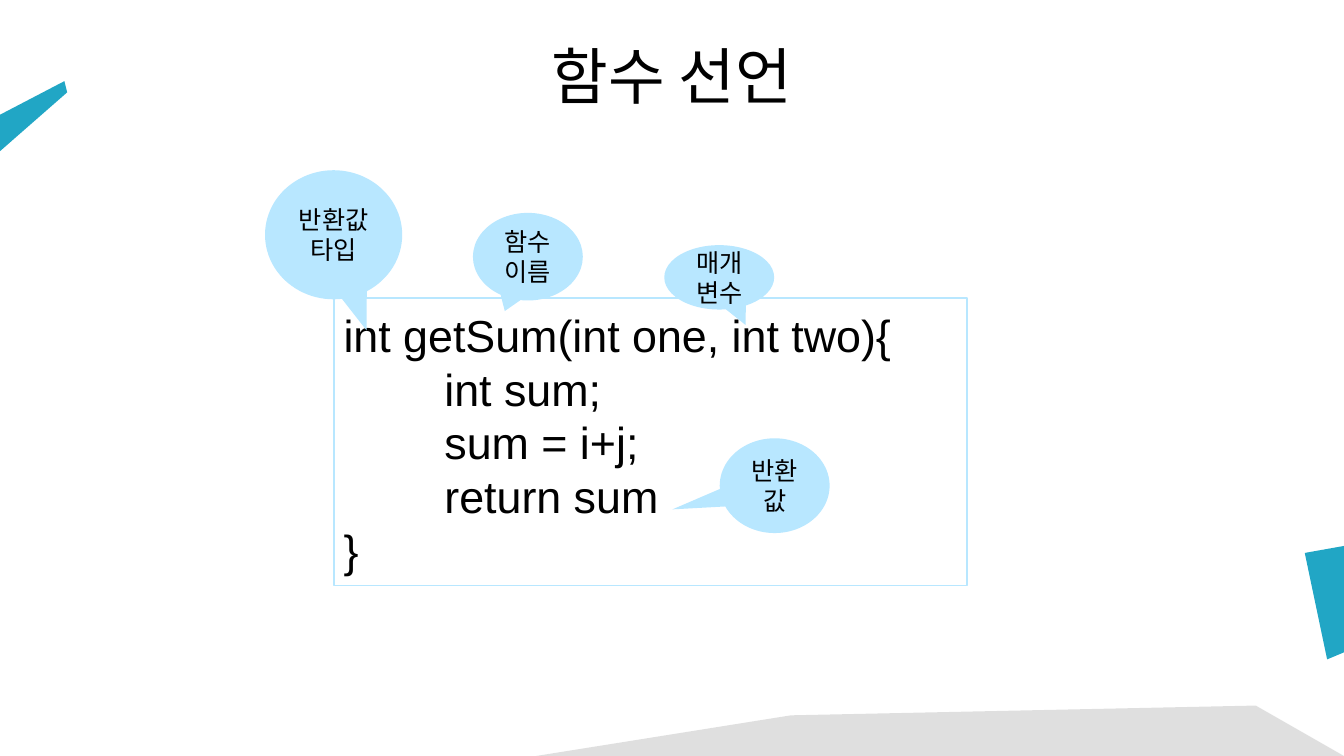
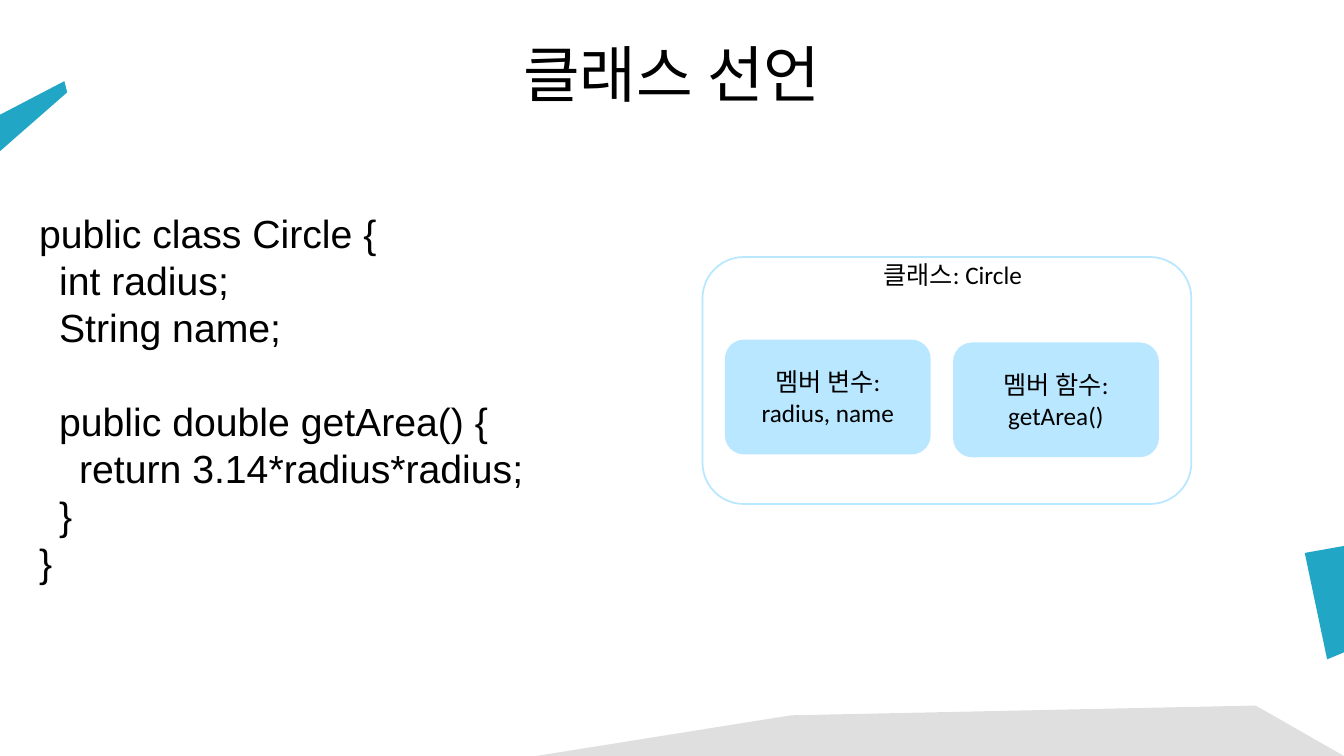
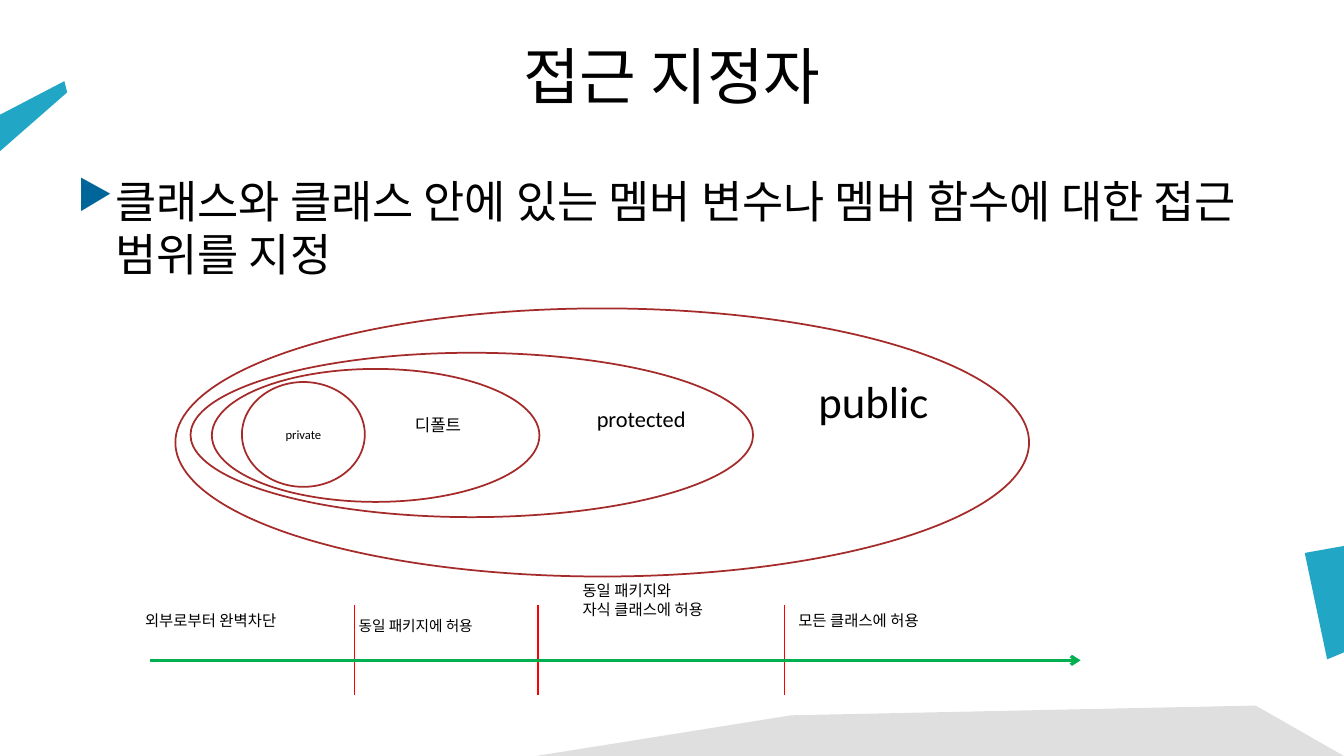
from dataclasses import dataclass

from lxml import etree
from pptx import Presentation
from pptx.dml.color import RGBColor
from pptx.enum import shapes as kinds, text as txt
from pptx.oxml.ns import qn
from pptx.util import Pt


@dataclass(frozen=True)
class Theme:
    """Colours, fonts and type sizes of the deck."""
    ink: str = "000000"
    paper: str = "FFFFFF"
    teal: str = "21A6C5"
    grey: str = "C1C1C1"
    sky: str = "B8E7FF"
    brown: str = "A52A2A"
    red: str = "FF0000"
    green: str = "00B050"
    bullet: str = "006699"
    title_font: str = "Cabin"
    body_font: str = "Calibri"
    code_font: str = "Arial"
    title: float = 44
    body: float = 32
    code: float = 32
    long_code: float = 28
    label: float = 18
    leading: float = 1.2
    outline: float = 1.25


@dataclass(frozen=True)
class Box:
    """A rectangle in points."""
    left: float
    top: float
    width: float
    height: float

    def within(self, dx, dy, width, height):
        """Return a box offset from this one."""
        return Box(self.left + dx, self.top + dy, width, height)

    def lengths(self):
        """Return the four lengths for python-pptx."""
        return [Pt(v) for v in (self.left, self.top, self.width, self.height)]


T = Theme()
PAGE = Box(0, 0, 960, 540)
SHAPE = kinds.MSO_SHAPE
LEFT, CENTER = txt.PP_ALIGN.LEFT, txt.PP_ALIGN.CENTER
TOP, MIDDLE = txt.MSO_ANCHOR.TOP, txt.MSO_ANCHOR.MIDDLE

DECOR = [
    (T.teal, None, [(46, 57.6), (48.2, 66.2), (0, 108), (0, 82)]),
    (T.teal, None, [(932.4, 395.3), (960, 389.5), (960, 465.8), (947.5, 470.9)]),
    (T.grey, 50, [(383, 540), (565, 511.2), (897, 504), (960, 540)]),
]


def paint(shape, fill=None, line=None):
    """Set fill, outline and no shadow."""
    shape.shadow.inherit = False
    if fill:
        shape.fill.solid()
        shape.fill.fore_color.rgb = RGBColor.from_string(fill)
    else:
        shape.fill.background()
    if line:
        shape.line.color.rgb = RGBColor.from_string(line)
        shape.line.width = Pt(T.outline)
    else:
        shape.line.fill.background()


def write(shape, words, size, font=T.body_font, align=CENTER, anchor=MIDDLE):
    """Put wrapped text in a shape and return its paragraphs."""
    frame = shape.text_frame
    frame.text = words
    frame.word_wrap = True
    frame.vertical_anchor = anchor
    for paragraph in frame.paragraphs:
        paragraph.alignment = align
        for run in paragraph.runs:
            run.font.size = Pt(size)
            run.font.name = font
            run.font.color.rgb = RGBColor.from_string(T.ink)
    return frame.paragraphs


def add_panel(slide, kind, box, fill=None, line=None, words=None, size=T.label):
    """Add a preset shape with optional centred text."""
    panel = slide.shapes.add_shape(kind, *box.lengths())
    paint(panel, fill, line)
    if words:
        write(panel, words, size)
    return panel


def add_label(slide, box, words, size, font=T.body_font, align=LEFT, anchor=TOP):
    """Add a text box and return its paragraphs."""
    label = slide.shapes.add_textbox(*box.lengths())
    return write(label, words, size, font, align, anchor)


def add_line(slide, start, end, color, width):
    """Add a straight line without shadow."""
    line = slide.shapes.add_connector(
        kinds.MSO_CONNECTOR.STRAIGHT, *[Pt(v) for v in (*start, *end)])
    line.line.color.rgb = RGBColor.from_string(color)
    line.line.width = Pt(width)
    etree.SubElement(line._element.spPr, qn("a:effectLst"))
    return line


def new_slide(deck, title, title_top=8.5):
    """Start a slide with the shared decoration and title."""
    slide = deck.slides.add_slide(deck.slide_layouts[6])
    slide.background.fill.solid()
    slide.background.fill.fore_color.rgb = RGBColor.from_string(T.paper)
    for color, opacity, corners in DECOR:
        builder = slide.shapes.build_freeform(*corners[0], scale=Pt(1))
        builder.add_line_segments(corners[1:], close=True)
        shard = builder.convert_to_shape()
        paint(shard, color)
        if opacity:
            tint = shard._element.spPr.find(".//" + qn("a:srgbClr"))
            etree.SubElement(tint, qn("a:alpha"), val=str(opacity * 1000))
    add_label(slide, PAGE.within(168, title_top, 624, 90), title, T.title,
              T.title_font, CENTER, MIDDLE)
    return slide


def code_block(shape, lines, size, step, anchor, gap_at=None):
    """Write code lines given as (level, text), indented by level."""
    paragraphs = write(shape, "\n".join(line for _, line in lines), size,
                       T.code_font, LEFT, anchor)
    pitch = Pt(round(size * T.leading, 1))
    for row, (paragraph, (level, _)) in enumerate(zip(paragraphs, lines)):
        paragraph.line_spacing = pitch
        paragraph._p.get_or_add_pPr().set("marL", str(Pt(level * step)))
        if row == gap_at:
            paragraph.space_before = pitch


def function_diagram(slide, box):
    """Draw the function code with callouts naming its parts."""
    listing = add_panel(slide, SHAPE.RECTANGLE, box, line=T.sky)
    code_block(listing, [
        (0, "int getSum(int one, int two){"),
        (1, "int sum;"),
        (1, "sum = i+j;"),
        (1, "return sum"),
        (0, "}"),
    ], T.code, 72, MIDDLE)
    callouts = [
        ("함수 이름", (99.5, -61, 78.5, 62.6), (-0.21, 0.62)),
        ("반환값 타입", (-49, -91.5, 98, 92.2), (0.24, 0.74)),
        ("매개변수", (236.2, -38, 78.5, 46), (0.24, 0.74)),
        ("반환 값", (275.8, 100, 78.5, 67.7), (-0.93, 0.25)),
    ]
    for words, place, tip in callouts:
        callout = add_panel(slide, SHAPE.OVAL_CALLOUT, box.within(*place),
                            T.sky, words=words)
        callout.adjustments[0], callout.adjustments[1] = tip


def class_listing(slide, box):
    """Write the class source code."""
    listing = slide.shapes.add_textbox(*box.lengths())
    paint(listing, T.paper)
    code_block(listing, [
        (0, "public class Circle {"),
        (1, "int radius;"),
        (1, "String name;"),
        (1, "public double getArea() {"),
        (2, "return 3.14*radius*radius;"),
        (1, "}"),
        (0, "}"),
    ], T.long_code, 14.3, TOP, gap_at=3)


def class_diagram(slide, box):
    """Draw the class frame with its two members."""
    add_panel(slide, SHAPE.ROUNDED_RECTANGLE, box.within(105.2, -3.6, 147, 31.7),
              words="클래스: Circle")
    members = ["멤버 변수: radius, name", "멤버 함수: getArea()"]
    for i, member in enumerate(members):
        add_panel(slide, SHAPE.ROUNDED_RECTANGLE,
                  box.within(16 + 163 * i, 59 + 2 * i, 147, 82), T.sky, words=member)
    add_panel(slide, SHAPE.ROUNDED_RECTANGLE, box, line=T.sky)


def summary(slide, box, words):
    """Write one bulleted statement."""
    statement = add_label(slide, box, words, T.body)[0]
    props = statement._p.get_or_add_pPr()
    props.set("marL", str(Pt(27)))
    props.set("indent", str(-Pt(27)))
    color = etree.SubElement(props, qn("a:buClr"))
    etree.SubElement(color, qn("a:srgbClr"), val=T.bullet)
    etree.SubElement(props, qn("a:buSzPct"), val="90000")
    etree.SubElement(props, qn("a:buChar"), char="▶")


def scope_rings(slide, box):
    """Draw the nested access scopes."""
    rings = [
        ((47.5, 52.6, 87.8, 74.9), "private"),
        ((26, 43.2, 234, 95), None),
        ((10.8, 31.7, 401.8, 117.4), None),
        ((0, 0, box.width, box.height), None),
    ]
    for place, words in rings:
        add_panel(slide, SHAPE.OVAL, box.within(*place), line=T.brown,
                  words=words, size=9)
    names = [
        ("디폴트", 12, (154.8, 72.7, 65.5, 41)),
        ("protected", 16, (278, 65.5, 109.4, 50.4)),
        ("public", 32, (432, 43.2, 133.2, 86.4)),
    ]
    for name, size, place in names:
        add_label(slide, box.within(*place), name, size, align=CENTER)


def scope_axis(slide, box):
    """Draw the arrow that splits the access ranges."""
    for dx in (146, 277, 453):
        x = box.left + dx
        add_line(slide, (x, box.top), (x, box.top + box.height), T.red, 0.75)
    ranges = [
        ("외부로부터 완벽차단", 11, (-10.8, 0.7, 152.6, 39)),
        ("동일 패키지에 허용", 10.5, (141.8, 5, 137.5, 37.4)),
        ("동일 패키지와\n자식 클래스에 허용", 11, (301.7, -20.4, 143.3, 63.4)),
        ("모든 클래스에 허용", 11, (455.8, 0.7, 143.3, 39)),
    ]
    for words, size, place in ranges:
        add_label(slide, box.within(*place), words, size)
    y = box.top + 39.5
    arrow = add_line(slide, (box.left, y), (box.left + box.width, y), T.green, 2.25)
    etree.SubElement(arrow.line._get_or_add_ln(), qn("a:tailEnd"), type="arrow")


def main():
    """Build and save the deck."""
    deck = Presentation()
    deck.slide_width, deck.slide_height = Pt(PAGE.width), Pt(PAGE.height)

    function_slide = new_slide(deck, "함수 선언")
    function_diagram(function_slide, Box(238.3, 213.1, 452.2, 205.2))

    class_slide = new_slide(deck, "클래스 선언", 7)
    class_listing(class_slide, Box(20.9, 146.2, 465, 278.6))
    class_diagram(class_slide, Box(501.8, 183.6, 349.2, 176.4))

    access_slide = new_slide(deck, "접근 지정자")
    summary(access_slide, Box(48.2, 120.2, 864, 362),
            "클래스와 클래스 안에 있는 멤버 변수나 멤버 함수에 대한 접근 범위를 지정")
    scope_rings(access_slide, Box(125.3, 220.3, 609.8, 191.5))
    scope_axis(access_slide, Box(107.3, 432.2, 664.6, 64))

    deck.save("out.pptx")


if __name__ == "__main__":
    main()
